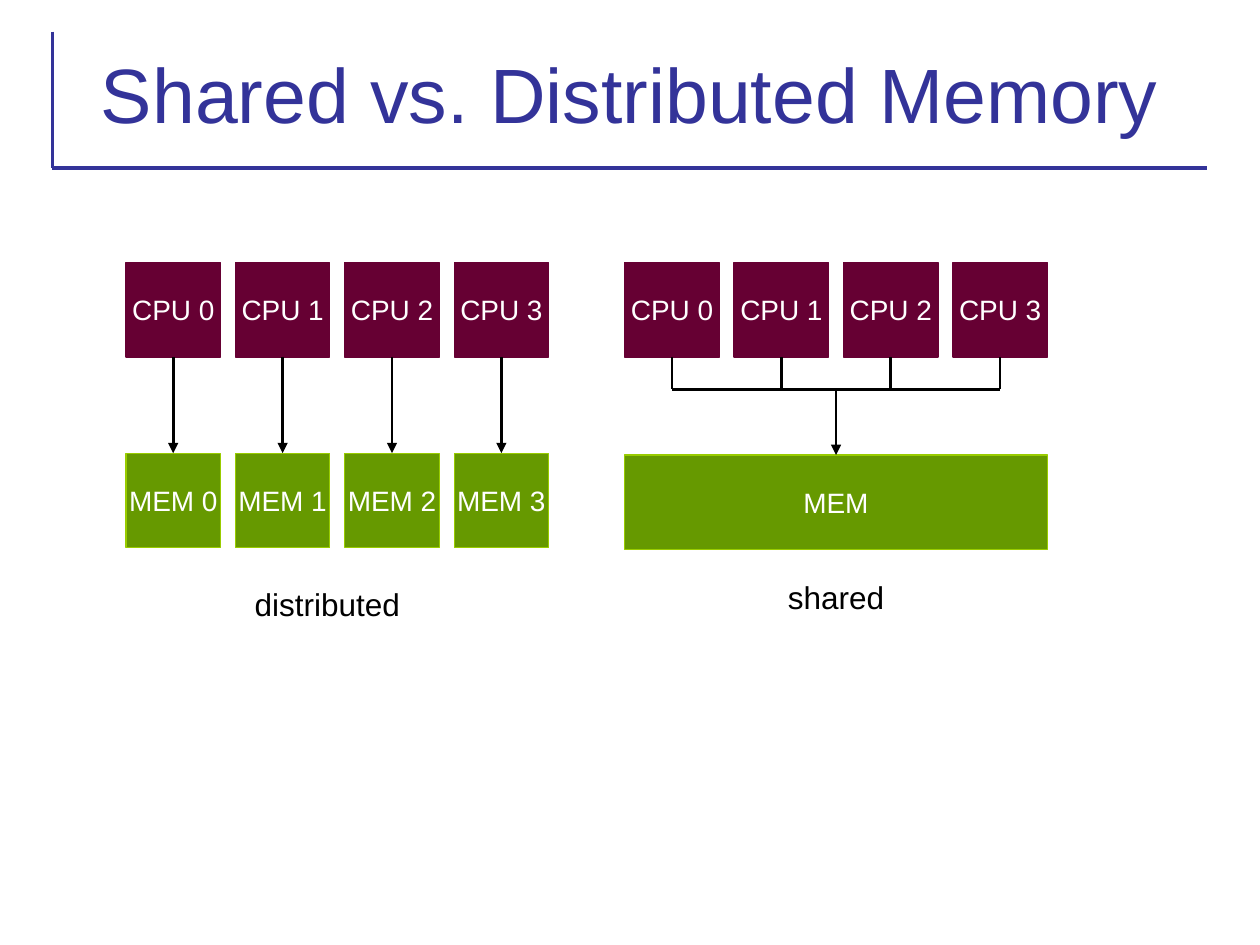
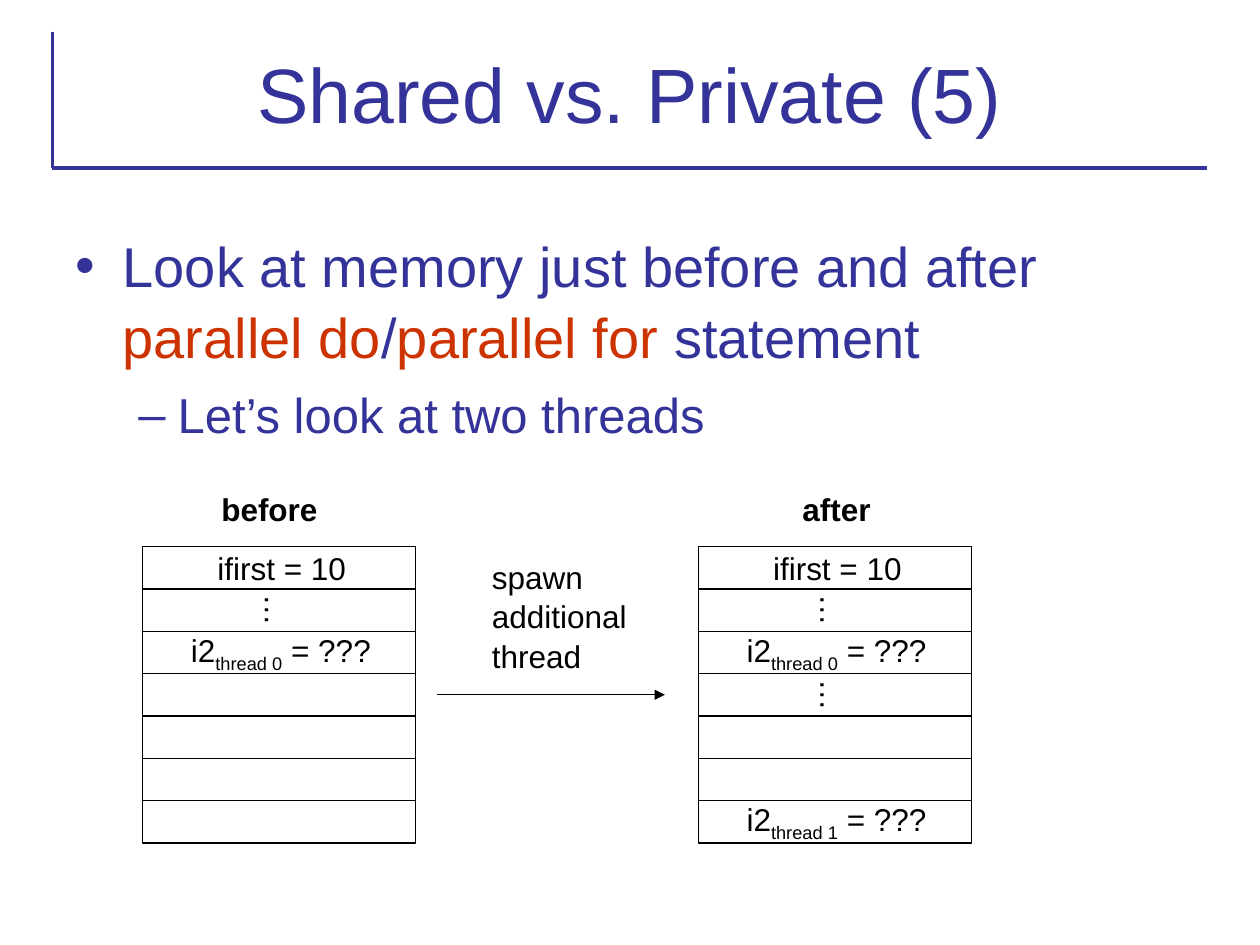
import dataclasses
import typing

import lxml.etree
import pptx
import pptx.dml.color
import pptx.enum.shapes
import pptx.enum.text
import pptx.oxml.ns
import pptx.util

Pt = pptx.util.Pt
RGB = pptx.dml.color.RGBColor
ALIGN = pptx.enum.text.PP_ALIGN
ANCHOR = pptx.enum.text.MSO_ANCHOR
STRAIGHT = pptx.enum.shapes.MSO_CONNECTOR.STRAIGHT
RECT = pptx.enum.shapes.MSO_SHAPE.RECTANGLE
qn = pptx.oxml.ns.qn

NAVY = RGB(0x33, 0x33, 0x99)
RUST = RGB(0xCC, 0x33, 0x00)
PLUM = RGB(0x66, 0x00, 0x33)
GREEN = RGB(0x66, 0x99, 0x00)
LIME = RGB(0x99, 0xCC, 0x00)
BLACK = RGB(0, 0, 0)
WHITE = RGB(0xFF, 0xFF, 0xFF)

FONT = "Arial"
LEADING = 1.05
UNIT = 54
PITCH = 62.5
COUNT = 4
CPU_TOP = 150
MEM_TOP = 259
BUS_Y = 222.5
MAP_TOP = 312.4
MAP_WIDTH = 156
MAP_ROW = 24.2
ROWS = 7


@dataclasses.dataclass
class Span:
    text: str
    color: RGB = BLACK
    size: float = 18
    bold: bool = False
    sub: bool = False


@dataclasses.dataclass
class Box:
    left: float
    top: float
    width: float
    height: float
    fill: RGB
    edge: RGB
    text: str = ""


@dataclasses.dataclass
class Bullet:
    mark: str
    margin: float
    hang: float
    level: int
    before: float
    spans: list[Span]


@dataclasses.dataclass
class Map:
    head: str
    head_x: float
    left: float
    threads: dict[int, int]
    dots: list[int]


MAPS = [
    Map("before", 154, 81.5, {2: 0}, [1]),
    Map("after", 478, 399, {2: 0, 6: 1}, [1, 3]),
]

BULLETS = [
    Bullet("•", 27, -27, 0, 0, [
        Span("Look at memory just before and after ", NAVY, 32),
        Span("parallel do", RUST, 32),
        Span("/", NAVY, 32),
        Span("parallel for ", RUST, 32),
        Span("statement", NAVY, 32),
    ]),
    Bullet("–", 58.5, -22.5, 1, 7, [Span("Let’s look at two threads", NAVY, 28)]),
]


def add_spans(para: typing.Any, spans: list[Span]) -> None:
    for span in spans:
        run = para.add_run()
        run.text = span.text
        font = run.font
        font.name, font.size, font.bold = FONT, Pt(span.size), span.bold
        font.color.rgb = span.color
        if span.sub:
            font._element.set("baseline", "-25000")


def draw_line(slide: typing.Any, start: tuple[float, float], end: tuple[float, float],
              width: float = 0.75, color: RGB = BLACK, arrow: bool = False) -> typing.Any:
    line = slide.shapes.add_connector(STRAIGHT, *(Pt(v) for v in start + end))
    line.line.color.rgb = color
    line.line.width = Pt(width)
    if arrow:
        tail = lxml.etree.SubElement(line.line._get_or_add_ln(), qn("a:tailEnd"))
        tail.set("type", "triangle")
    lxml.etree.SubElement(line._element.spPr, qn("a:effectLst"))
    return line


def draw_box(slide: typing.Any, box: Box) -> typing.Any:
    shape = slide.shapes.add_shape(
        RECT, Pt(box.left), Pt(box.top), Pt(box.width), Pt(box.height))
    shape.shadow.inherit = False
    shape.fill.solid()
    shape.fill.fore_color.rgb = box.fill
    shape.line.color.rgb = box.edge
    shape.line.width = Pt(0.75)
    if box.text:
        frame = shape.text_frame
        frame.margin_left = frame.margin_right = Pt(0)
        frame.word_wrap = False
        frame.vertical_anchor = ANCHOR.MIDDLE
        frame.paragraphs[0].alignment = ALIGN.CENTER
        add_spans(frame.paragraphs[0], [Span(box.text, WHITE, 16)])
    return shape


def add_frame(slide: typing.Any, left: float, top: float,
              width: float, height: float) -> typing.Any:
    shape = slide.shapes.add_textbox(Pt(left), Pt(top), Pt(width), Pt(height))
    shape.text_frame.word_wrap = True
    return shape


def draw_label(slide: typing.Any, mid_x: float, mid_y: float, spans: list[Span],
               width: float = MAP_WIDTH, turn: float = 0) -> None:
    height = 29
    shape = add_frame(slide, mid_x - width / 2, mid_y - height / 2, width, height)
    shape.rotation = turn
    shape.text_frame.vertical_anchor = ANCHOR.MIDDLE
    para = shape.text_frame.paragraphs[0]
    para.alignment = ALIGN.CENTER
    add_spans(para, spans)


def add_slide(deck: typing.Any, text: str) -> typing.Any:
    slide = deck.slides.add_slide(deck.slide_layouts[5])
    title = slide.shapes.title
    title.left, title.top, title.width, title.height = Pt(36), Pt(18), Pt(648), Pt(70)
    title.text_frame.vertical_anchor = ANCHOR.MIDDLE
    para = title.text_frame.paragraphs[0]
    para.alignment = ALIGN.CENTER
    add_spans(para, [Span(text, NAVY, 44)])
    corner = (30, 96)
    draw_line(slide, corner, (690, 96), 2.25, NAVY)
    draw_line(slide, (30, 18), corner, 2.25, NAVY)
    return slide


def draw_row(slide: typing.Any, name: str, left: float, top: float,
             fill: RGB, edge: RGB) -> list[typing.Any]:
    return [
        draw_box(slide, Box(left + i * PITCH, top, UNIT, UNIT, fill, edge, f"{name} {i}"))
        for i in range(COUNT)
    ]


def draw_spread(slide: typing.Any) -> None:
    left = 72
    chips = draw_row(slide, "CPU", left, CPU_TOP, PLUM, PLUM)
    banks = draw_row(slide, "MEM", left, MEM_TOP, GREEN, LIME)
    for chip, bank in zip(chips, banks):
        link = draw_line(slide, (0, 0), (0, 0), 1.5, arrow=True)
        link.begin_connect(chip, 2)
        link.end_connect(bank, 0)
    draw_label(slide, 187, 345, [Span("distributed")])


def draw_shared(slide: typing.Any) -> None:
    left = 357
    span = (COUNT - 1) * PITCH
    middle = left + (span + UNIT) / 2
    chips = draw_row(slide, "CPU", left, CPU_TOP, PLUM, PLUM)
    bank = draw_box(slide, Box(left, MEM_TOP + 1, span + UNIT, UNIT, GREEN, LIME, "MEM"))
    first = left + UNIT / 2
    for i, chip in enumerate(chips):
        mid_x = first + i * PITCH
        draw_line(slide, (mid_x, BUS_Y), (mid_x, BUS_Y), 1.5).begin_connect(chip, 2)
    draw_line(slide, (first, BUS_Y), (first + span, BUS_Y), 1.5)
    link = draw_line(slide, (middle, BUS_Y), (middle, MEM_TOP), 1.5, arrow=True)
    link.end_connect(bank, 0)
    draw_label(slide, middle, 341, [Span("shared")])


def draw_map(slide: typing.Any, item: Map) -> None:
    def row_mid(row: int) -> float:
        return MAP_TOP + (row + 0.5) * MAP_ROW

    right = item.left + MAP_WIDTH
    middle = item.left + MAP_WIDTH / 2
    draw_box(slide, Box(item.left, MAP_TOP, MAP_WIDTH, ROWS * MAP_ROW, WHITE, BLACK))
    for row in range(1, ROWS):
        line_y = MAP_TOP + row * MAP_ROW
        draw_line(slide, (item.left, line_y), (right, line_y))
    draw_label(slide, item.head_x, 291, [Span(item.head, bold=True)])
    draw_label(slide, middle + 1.5, row_mid(0), [Span("ifirst = 10")])
    for row, thread in item.threads.items():
        spans = [Span("i2"), Span(f"thread {thread}", sub=True), Span(" = ???")]
        draw_label(slide, middle + 1, row_mid(row), spans)
    for row in item.dots:
        draw_label(slide, middle - 1, row_mid(row), [Span("…")], 40, 90)


def add_bullet(para: typing.Any, item: Bullet) -> None:
    props = para._p.get_or_add_pPr()
    props.set("marL", str(Pt(item.margin)))
    props.set("indent", str(Pt(item.hang)))
    tint = lxml.etree.SubElement(props, qn("a:buClr"))
    lxml.etree.SubElement(tint, qn("a:srgbClr")).set("val", str(NAVY))
    lxml.etree.SubElement(props, qn("a:buFont")).set("typeface", FONT)
    lxml.etree.SubElement(props, qn("a:buChar")).set("char", item.mark)
    para.level = item.level
    para.line_spacing = LEADING
    para.space_before = Pt(item.before)
    add_spans(para, item.spans)


def draw_points(slide: typing.Any) -> None:
    frame = add_frame(slide, 36, 127, 648, 140).text_frame
    for i, item in enumerate(BULLETS):
        add_bullet(frame.add_paragraph() if i else frame.paragraphs[0], item)


def draw_spawn(slide: typing.Any) -> None:
    para = add_frame(slide, 274, 314, 125, 72).text_frame.paragraphs[0]
    para.line_spacing = LEADING
    add_spans(para, [Span("spawn additional thread")])
    draw_line(slide, (250, 397), (380, 397), arrow=True)


def main() -> None:
    deck = pptx.Presentation()
    deck.slide_width, deck.slide_height = Pt(720), Pt(540)

    slide = add_slide(deck, "Shared vs. Distributed Memory")
    draw_spread(slide)
    draw_shared(slide)

    slide = add_slide(deck, "Shared vs. Private (5)")
    draw_points(slide)
    for item in MAPS:
        draw_map(slide, item)
    draw_spawn(slide)

    deck.save("out.pptx")


if __name__ == "__main__":
    main()
